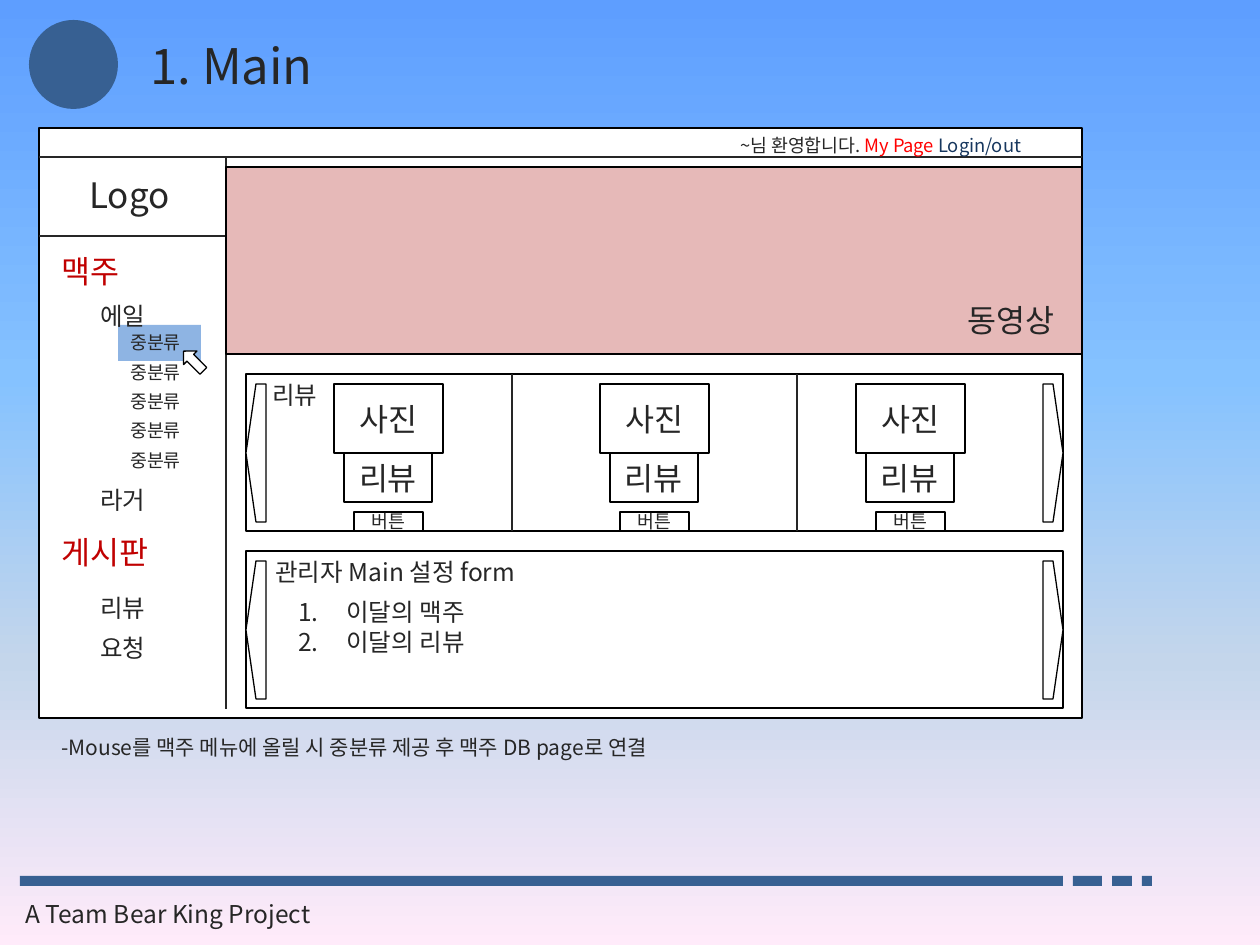
import copy
import pptx
import pptx.util
from pptx.dml.color import RGBColor
from pptx.enum.shapes import MSO_CONNECTOR, MSO_SHAPE
from pptx.enum.text import MSO_ANCHOR, MSO_AUTO_SIZE, PP_ALIGN
from pptx.oxml.ns import qn
from lxml import etree

SCALE = 914400 / 126  # EMU in one px


class Theme:
    font = "Noto Sans CJK KR"
    ink, black, white = "262626", "000000", "FFFFFF"
    navy, red, alert, link = "376092", "C00000", "FF0000", "17375E"
    pink, hover = "E6B9B8", "8EB4E3"
    sky = [(0, "5E9EFF"), (0.4, "85C2FF"), (0.7, "C4D6EB"), (1, "FFEBFA")]
    title, logo, head, body, note, small = 28, 20, 18, 14, 12, 10.5
    line = 0.75


def emu(*px):
    return [pptx.util.Emu(round(n * SCALE)) for n in px]


class Page:
    def __init__(self, deck, theme):
        self.theme = theme
        self.slide = deck.slides.add_slide(deck.slide_layouts[6])
        self.shapes = self.slide.shapes

    def back(self, stops):
        fill = self.slide.background.fill
        fill.gradient()
        fill.gradient_angle = 270
        group = self.slide.element.find(".//" + qn("a:gsLst"))
        while len(group) < len(stops):
            group.append(copy.deepcopy(group[0]))
        for stop, (spot, color) in zip(fill.gradient_stops, stops):
            stop.position = spot
            stop.color.rgb = RGBColor.from_string(color)

    def style(self, run, size, color):
        font = run.font
        font.size = pptx.util.Pt(size)
        font.name = self.theme.font
        font.color.rgb = RGBColor.from_string(color)
        east = etree.SubElement(run._r.get_or_add_rPr(), qn("a:ea"))
        east.set("typeface", self.theme.font)

    def words(self, shape, text, size, color=None, align=PP_ALIGN.LEFT):
        frame = shape.text_frame
        frame.text = text
        frame.word_wrap = False
        for para in frame.paragraphs:
            para.alignment = align
            for run in para.runs:
                self.style(run, size, color or self.theme.ink)
        return frame

    def text(self, x, y, w, h, text, size, color=None):
        box = self.shapes.add_textbox(*emu(x, y, w, h))
        frame = self.words(box, text, size, color)
        frame.auto_size = MSO_AUTO_SIZE.SHAPE_TO_FIT_TEXT
        return frame

    def shape(self, x, y, w, h, fill, edge=True, kind=MSO_SHAPE.RECTANGLE):
        item = self.shapes.add_shape(kind, *emu(x, y, w, h))
        item.shadow.inherit = False
        item.fill.solid()
        item.fill.fore_color.rgb = RGBColor.from_string(fill)
        if edge:
            item.line.color.rgb = RGBColor.from_string(self.theme.black)
            item.line.width = pptx.util.Pt(self.theme.line)
        else:
            item.line.fill.background()
        return item

    def label(self, x, y, w, h, text, size):
        item = self.shape(x, y, w, h, self.theme.white)
        frame = self.words(item, text, size, align=PP_ALIGN.CENTER)
        frame.vertical_anchor = MSO_ANCHOR.MIDDLE

    def line(self, x1, y1, x2, y2):
        item = self.shapes.add_connector(MSO_CONNECTOR.STRAIGHT, *emu(x1, y1, x2, y2))
        item.line.color.rgb = RGBColor.from_string(self.theme.ink)
        item.line.width = pptx.util.Pt(self.theme.line)
        etree.SubElement(item._element.spPr, qn("a:effectLst"))

    def arrow(self, x, y, left):
        item = self.shape(x, y, 20, 138, self.theme.white, kind=MSO_SHAPE.PENTAGON)
        if left:
            item._element.spPr.find(qn("a:xfrm")).set("flipH", "1")

    def number(self, frame):
        for para in frame.paragraphs:
            props = para._p.get_or_add_pPr()
            props.set("marL", str(emu(48)[0]))
            props.set("indent", str(emu(-48)[0]))
            mark = etree.SubElement(props, qn("a:buAutoNum"))
            mark.set("type", "arabicPeriod")


def main():
    deck = pptx.Presentation()
    deck.slide_width, deck.slide_height = emu(1260, 945)
    t = Theme()
    page = Page(deck, t)
    page.back(t.sky)

    # Footer
    for x, w in [(20, 1043), (1073, 29), (1112, 20), (1142, 10)]:
        page.shape(x, 876, w, 10, t.navy, edge=False)
    page.text(13, 893, 369, 43, "A Team Bear King Project", t.body)

    # Title
    page.shape(29, 20, 89, 89, t.navy, edge=False, kind=MSO_SHAPE.OVAL)
    page.text(138, 29, 217, 72, "1. Main", t.title)

    # Window frame
    page.shape(39, 128, 1043, 590, t.white)
    page.line(226, 157, 226, 709)
    page.line(39, 236, 226, 236)
    page.line(39, 157, 1082, 157)
    page.text(77, 167, 120, 55, "Logo", t.logo)

    # Side menu
    for y, name in [(246, "맥주"), (527, "게시판")]:
        page.text(49, y, 121, 50, name, t.head, t.red)
    for y, name in [(479, "라거"), (587, "리뷰"), (627, "요청")]:
        page.text(88, y, 74, 43, name, t.body)

    # Video
    page.shape(226, 167, 856, 187, t.pink)
    page.text(955, 295, 121, 50, "동영상", t.head)

    # Review and admin panels
    for y in (374, 551):
        page.shape(246, y, 817, 157, t.white)
        page.arrow(246, y + 10, left=True)
        page.arrow(1043, y + 10, left=False)
    page.text(260, 374, 74, 43, "리뷰", t.body)
    page.text(263, 551, 297, 43, "관리자 Main 설정 form", t.body)
    page.number(page.text(286, 591, 205, 72, "이달의 맥주\n이달의 리뷰", t.body))

    # Review cards
    for x in (334, 600, 856):
        page.label(x, 384, 109, 69, "사진", t.head)
        page.label(x + 10, 453, 88, 49, "리뷰", t.head)
        page.label(x + 20, 512, 69, 19, "버튼", t.small)
    for x in (512, 797):
        page.line(x, 374, x, 531)

    # Caption
    caption = "-Mouse를 맥주 메뉴에 올릴 시 중분류 제공 후 맥주 DB page로 연결"
    page.text(49, 728, 1033, 38, caption, t.note).word_wrap = True

    # Submenu with pointer
    page.shape(118, 325, 83, 36, t.hover, edge=False)
    for row in range(5):
        page.text(118, 325 + round(row * 29.5), 83, 36, "중분류", t.small)
    hand = page.shape(184, 347, 19, 28, t.white, kind=MSO_SHAPE.UP_ARROW)
    hand.rotation = 315
    page.text(88, 295, 74, 43, "에일", t.body)

    # Login bar
    bar = page.text(728, 128, 354, 35, "~님 환영합니다. ", t.small)
    bar.word_wrap = True
    for word, color in [("My Page ", t.alert), ("Login/out", t.link)]:
        run = bar.paragraphs[0].add_run()
        run.text = word
        page.style(run, t.small, color)

    deck.save("out.pptx")


if __name__ == "__main__":
    main()
